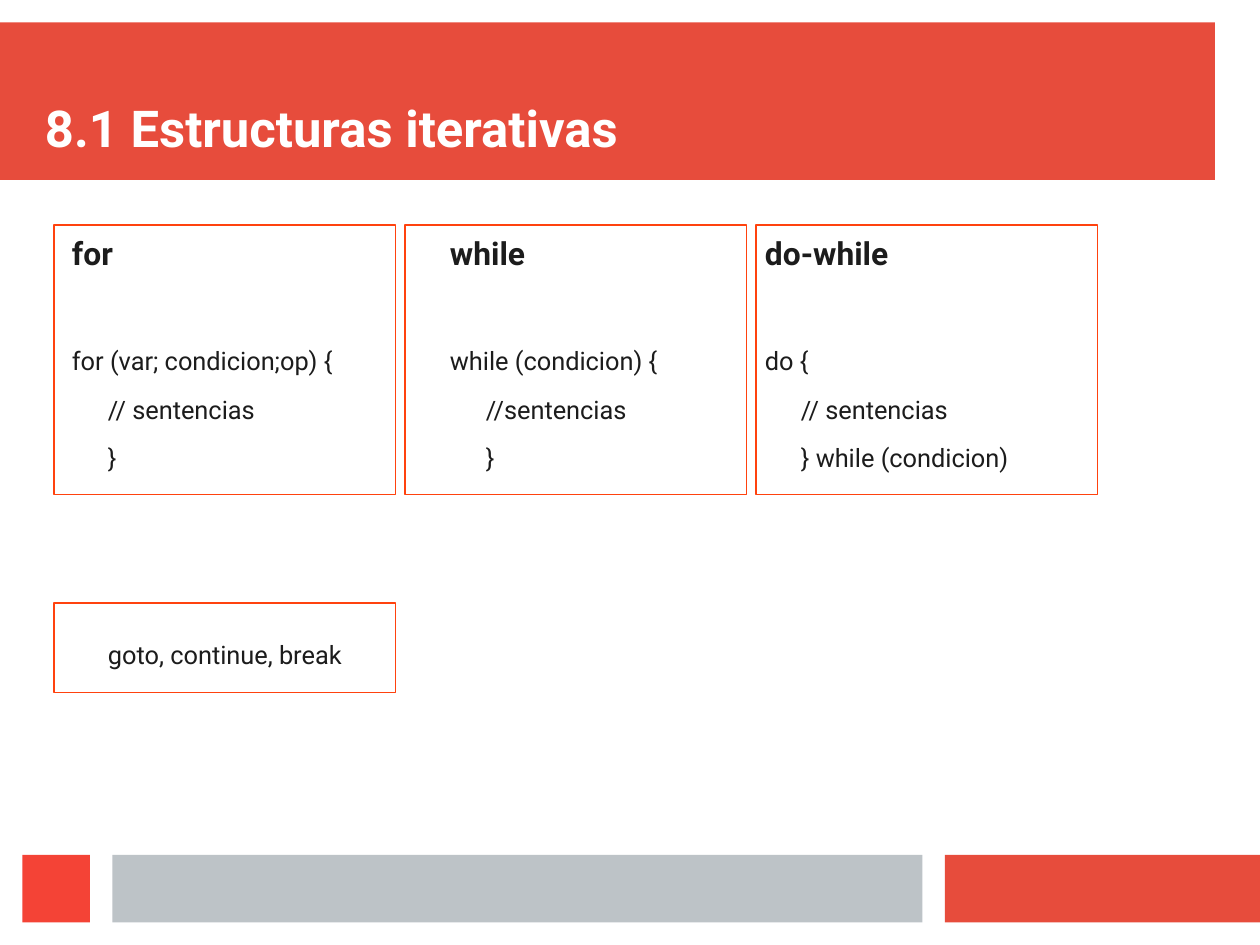
from dataclasses import dataclass

from pptx import Presentation
from pptx.dml.color import RGBColor
from pptx.enum.shapes import MSO_SHAPE
from pptx.enum.text import MSO_ANCHOR
from pptx.util import Cm, Pt


@dataclass(frozen=True)
class Theme:
    font: str = "Roboto"
    red: str = "E74C3C"
    bright: str = "F44336"
    gray: str = "BDC3C7"
    outline: str = "FF420E"
    ink: str = "1C1C1C"
    white: str = "FFFFFF"
    title: float = 32
    heading: float = 20
    code: float = 16
    gap: float = 11.4
    heading_gap: float = 46.2


THEME = Theme()


def add_rect(s, x, y, w, h, fill=None, line=None):
    sp = s.shapes.add_shape(MSO_SHAPE.RECTANGLE, Cm(x), Cm(y), Cm(w), Cm(h))
    sp.shadow.inherit = False
    if fill:
        sp.fill.solid()
        sp.fill.fore_color.rgb = RGBColor.from_string(fill)
    else:
        sp.fill.background()
    if line:
        sp.line.color.rgb = RGBColor.from_string(line)
        sp.line.width = Pt(0)
    else:
        sp.line.fill.background()


def add_text_frame(s, x, y, w, h, anchor=MSO_ANCHOR.TOP):
    tf = s.shapes.add_textbox(Cm(x), Cm(y), Cm(w), Cm(h)).text_frame
    tf.word_wrap = True
    tf.vertical_anchor = anchor
    tf.margin_left = tf.margin_right = tf.margin_top = tf.margin_bottom = 0
    return tf


def style_paragraph(p, size, color=THEME.ink, bold=False, after=0, indent=0):
    p.space_after = Pt(after)
    if indent:
        p._p.get_or_add_pPr().set("marL", str(Cm(indent)))
    for r in p.runs:
        r.font.name = THEME.font
        r.font.size = Pt(size)
        r.font.bold = bold
        r.font.color.rgb = RGBColor.from_string(color)


def add_loop(s, x, heading, opening, *body):
    tf = add_text_frame(s, x, 5.2, 8.4, 5.8)
    tf.text = "\n".join([heading, opening, *body])
    first, second, *rest = tf.paragraphs
    style_paragraph(first, THEME.heading, bold=True, after=THEME.heading_gap)
    style_paragraph(second, THEME.code, after=THEME.gap)
    for p in rest:
        style_paragraph(p, THEME.code, after=THEME.gap, indent=0.8)


def main():
    prs = Presentation()
    prs.slide_width, prs.slide_height = Cm(28), Cm(21)
    s = prs.slides.add_slide(prs.slide_layouts[6])

    add_rect(s, 0, 0.5, 27, 3.5, fill=THEME.red)
    for x, w, color in ((21, 7, THEME.red), (2.5, 18, THEME.gray), (0.5, 1.5, THEME.bright)):
        add_rect(s, x, 19, w, 1.5, fill=color)

    tf = add_text_frame(s, 1, 1, 26, 2.5, MSO_ANCHOR.BOTTOM)
    tf.text = "8.1 Estructuras iterativas"
    style_paragraph(tf.paragraphs[0], THEME.title, THEME.white, bold=True)

    loops = (
        (1.6, "for", "for (var; condicion;op) {", "// sentencias", "}"),
        (10, "while", "while (condicion) {", "//sentencias", "}"),
        (17, "do-while", "do {", "// sentencias", "} while (condicion)"),
    )
    for i, loop in enumerate(loops):
        add_loop(s, *loop)
        add_rect(s, 1.2 + 7.8 * i, 5, 7.6, 6, line=THEME.outline)

    tf = add_text_frame(s, 2.4, 14.2, 6.4, 0.8)
    tf.text = "goto, continue, break"
    style_paragraph(tf.paragraphs[0], THEME.code)
    add_rect(s, 1.2, 13.4, 7.6, 2, line=THEME.outline)

    prs.save("out.pptx")


if __name__ == "__main__":
    main()
